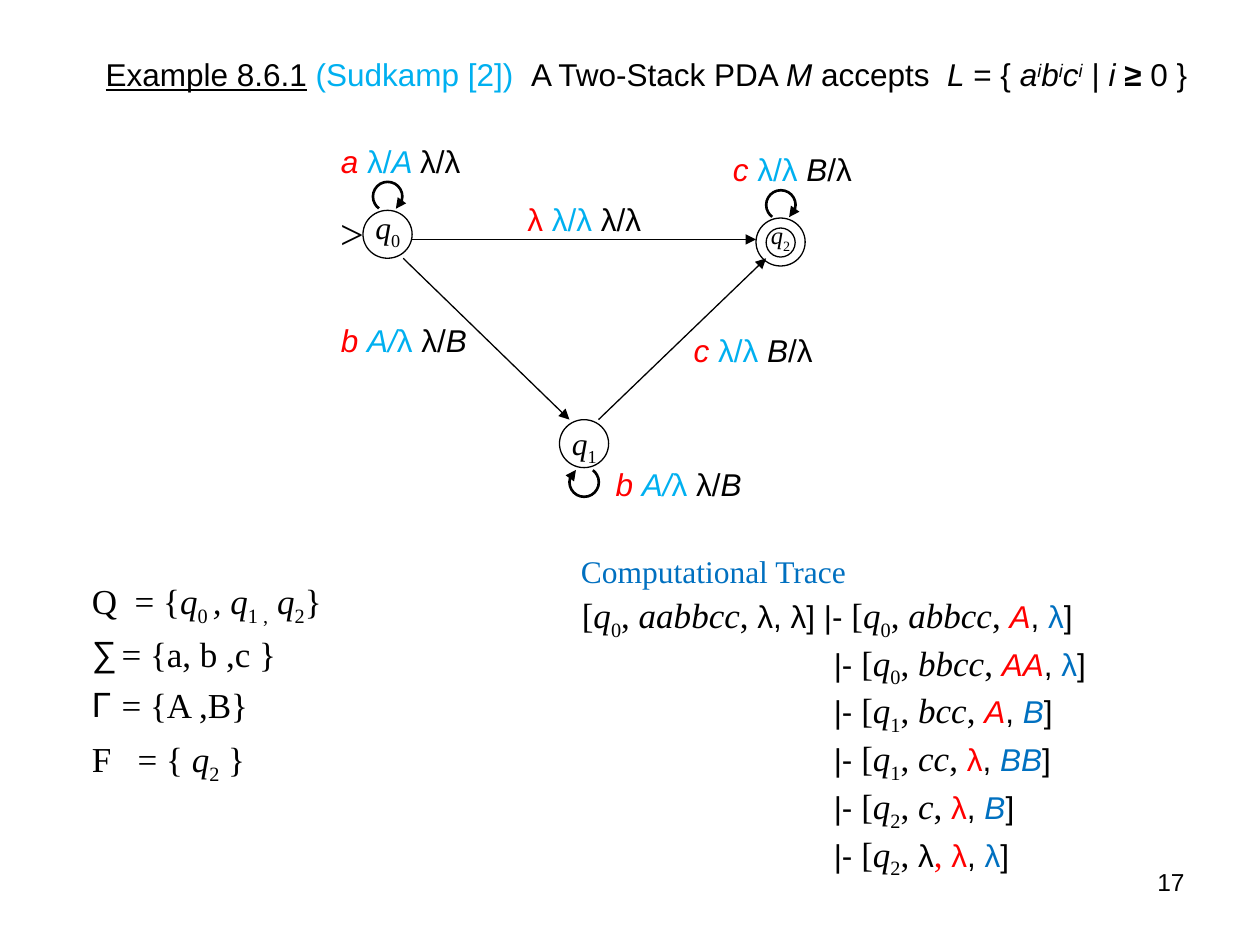
"""Builds the slide on a two-stack PDA with its state diagram and trace."""
from lxml import etree
from pptx import Presentation
from pptx import util as u
from pptx.dml import color as dml
from pptx.enum import shapes, text
from pptx.oxml import ns

SERIF, SANS = "Times New Roman", "Arial"
ITALIC = {"italic": True}
SUB, SUPER = {"baseline": -25}, {"baseline": 30}
RED, CYAN, BLUE = {"color": "FF0000"}, {"color": "00B0F0"}, {"color": "0070C0"}
LETTER = {"font": SANS, "size": 18}

TITLE = [
    ("Example 8.6.1", {"underline": True}), (" ", {}), ("(Sudkamp [2])  ", CYAN),
    ("A Two-Stack PDA ", {}), ("M", ITALIC), (" accepts  ", {}), ("L", ITALIC), (" = { ", {}),
    ("a", ITALIC), ("i", ITALIC | SUPER), ("b", ITALIC), ("i", ITALIC | SUPER),
    ("c", ITALIC), ("i", ITALIC | SUPER), (" | ", {}), ("i ", ITALIC),
    ("≥", {"bold": True}), (" 0 }", {}),
]
PUSH_A = [("a ", RED | ITALIC), ("λ/", CYAN), ("A ", CYAN | ITALIC), ("λ/λ", {})]
MOVE = [("λ ", RED), ("λ/λ ", CYAN), ("λ/λ", {})]
POP_B = [("c ", RED | ITALIC), ("λ/λ ", CYAN), ("B", ITALIC), ("/λ", {})]
A_TO_B = [("b ", RED | ITALIC), ("A/", CYAN | ITALIC), ("λ ", CYAN), ("λ/", {}), ("B", ITALIC)]
LABELS = [
    (PUSH_A, 174.2, 77.8), (MOVE, 280.8, 110.9), (POP_B, 398.2, 82.1),
    (POP_B, 375.8, 185.8), (A_TO_B, 174.2, 180), (A_TO_B, 331.2, 262.1),
]
CIRCLES = [(207.4, 120.2, 28.1, 27.4), (432, 124.6, 28.1, 27.4),
           (437.8, 130.3, 16.6, 16.6), (319.7, 239.8, 28.1, 27.4)]
STATES = [("0", 207.4, 115.2, 18), ("2", 433.4, 122.4, 14), ("1", 319.7, 239, 18)]
ARROWS = [(235.4, 136.8, 432, 136.8), (230.4, 147.6, 325.4, 239.8), (342, 239.8, 437.8, 147.6)]
LOOPS = [(213.1, 103.9, 270), (437.8, 108.7, 270), (325.4, 267.1, 90)]
TRACE = [
    ("0", "abbcc", "A", "λ"), ("0", "bbcc", "AA", "λ"), ("1", "bcc", "A", "B"),
    ("1", "cc", "λ", "BB"), ("2", "c", "λ", "B"), ("2", "λ", "λ", "λ"),
]
DEFINITIONS = [
    (None, [("Q  = {", {}), ("q", ITALIC), ("0 ", SUB), (", q", ITALIC), ("1 ,", SUB),
            (" q", ITALIC), ("2", SUB), ("}", {})]),
    ("∑", [("= {a, b ,c }", {})]),
    ("Γ", [("= {A ,B}", {})]),
    (None, [("F   = {", {}), (" q", ITALIC), ("2", SUB), (" }", {})]),
]


def rgb(code):
    """Turn a hex string into a colour."""
    return dml.RGBColor.from_string(code)


def add_span(para, words, font=SANS, size=18, color="000000", italic=False,
             bold=False, underline=False, baseline=0):
    """Append one formatted run to a paragraph."""
    span = para.add_run()
    span.text = words
    span.font.name, span.font.size = font, u.Pt(size)
    span.font.color.rgb = rgb(color)
    span.font.italic, span.font.bold, span.font.underline = italic, bold, underline
    if baseline:
        span._r.get_or_add_rPr().set("baseline", str(baseline * 1000))


def indent(para, margin, hanging=0):
    """Set the left margin and hanging indent of a paragraph."""
    props = para._p.get_or_add_pPr()
    props.set("marL", str(u.Pt(margin)))
    props.set("indent", str(-u.Pt(hanging)))
    return props


def add_text(page, lines, left, top, width, height, margin=0, **base):
    """Add a text box with one paragraph for each list of spans."""
    box = page.shapes.add_textbox(*map(u.Pt, (left, top, width, height)))
    box.text_frame.word_wrap = True
    for number, spans in enumerate(lines):
        para = box.text_frame.add_paragraph() if number else box.text_frame.paragraphs[0]
        if margin:
            indent(para, margin)
        for words, style in spans:
            add_span(para, words, **(base | style))
    return box.text_frame.paragraphs


def add_arrowhead(shape):
    """Put a triangle at the end of a line."""
    etree.SubElement(shape.line._get_or_add_ln(), ns.qn("a:tailEnd"), type="triangle")


def add_outline(page, kind, frame, weight):
    """Add an unfilled black preset shape."""
    shape = page.shapes.add_shape(kind, *map(u.Pt, frame))
    shape.shadow.inherit = False
    shape.fill.background()
    shape.line.color.rgb, shape.line.width = rgb("000000"), u.Pt(weight)
    return shape


def add_arrow(page, ends):
    """Add a straight transition arrow."""
    arrow = page.shapes.add_connector(shapes.MSO_CONNECTOR.STRAIGHT, *map(u.Pt, ends))
    arrow.line.color.rgb, arrow.line.width = rgb("000000"), u.Pt(0.75)
    add_arrowhead(arrow)
    etree.SubElement(arrow._element.spPr, ns.qn("a:effectLst"))


def add_loop(page, left, top, turn):
    """Add a curved arrow from a state to itself."""
    loop = add_outline(page, shapes.MSO_SHAPE.ARC, (left, top, 16.8, 16.8), 1.5)
    loop.adjustments[0], loop.adjustments[1] = 216 * 0.6, 146 * 0.6
    loop.rotation = turn
    add_arrowhead(loop)


def configuration(state, unread):
    """Return the spans that open a machine configuration."""
    last = unread == "λ"
    return [("[", {}), ("q", ITALIC), (state, SUB), (", ", {}),
            (unread, LETTER if last else ITALIC), (", ", RED if last else {})]


def stack(word, color):
    """Return the span of one stack's content."""
    return word, LETTER | color | ({} if word == "λ" else ITALIC)


def trace_line(state, unread, first, second):
    """Return the spans of one derivation step."""
    return [("|- ", LETTER), *configuration(state, unread), stack(first, RED),
            (", ", LETTER), stack(second, BLUE), ("]", LETTER)]


def add_diagram(page):
    """Draw the states, transitions and their labels."""
    for frame in CIRCLES:
        add_outline(page, shapes.MSO_SHAPE.OVAL, frame, 0.75)
    for number, left, top, size in STATES:
        add_text(page, [[("q", ITALIC), (number, SUB)]], left, top, 33.8, 31.7,
                 font=SERIF, size=size)
    add_text(page, [[(">", {})]], 187.2, 115.2, 28.1, 36, font=SERIF, size=24)
    for ends in ARROWS:
        add_arrow(page, ends)
    for place in LOOPS:
        add_loop(page, *place)
    for spans, left, top in LABELS:
        add_text(page, [spans], left, top, 118.1, 28.8, margin=13.5)


def add_definitions(page):
    """List the sets that define the machine."""
    paras = add_text(page, [spans for _, spans in DEFINITIONS], 45.4, 327.6, 257.8, 152.6,
                     font=SERIF, size=20)
    for para, (symbol, _) in zip(paras, DEFINITIONS):
        para.line_spacing, para.space_before = 0.95, u.Pt(6.2)
        if symbol:
            props = indent(para, 17, 17)
            etree.SubElement(props, ns.qn("a:buFont"), typeface=SANS)
            etree.SubElement(props, ns.qn("a:buChar"), char=symbol)


def main():
    """Build and save the deck."""
    deck = Presentation()
    deck.slide_width, deck.slide_height = u.Pt(720), u.Pt(540)
    page = deck.slides.add_slide(deck.slide_layouts[6])
    add_text(page, [TITLE], 53.3, 28.1, 648, 28.8)
    add_diagram(page)
    add_text(page, [[("Computational Trace", BLUE)]], 320.4, 311.8, 171.4, 28.8,
             margin=4.5, font=SERIF)
    lines = [trace_line(*step) for step in TRACE]
    lines[0] = configuration("0", "aabbcc") + [("λ, λ] ", LETTER)] + lines[0]
    paras = add_text(page, lines, 325.4, 335.5, 303.1, 171.4, font=SERIF, size=20)
    for para in paras[1:]:
        indent(para, 144)
    number = add_text(page, [[("17", {})]], 516.2, 491.8, 167.8, 37.4, size=14)
    number[0].alignment = text.PP_ALIGN.RIGHT
    add_definitions(page)
    deck.save("out.pptx")


if __name__ == "__main__":
    main()
